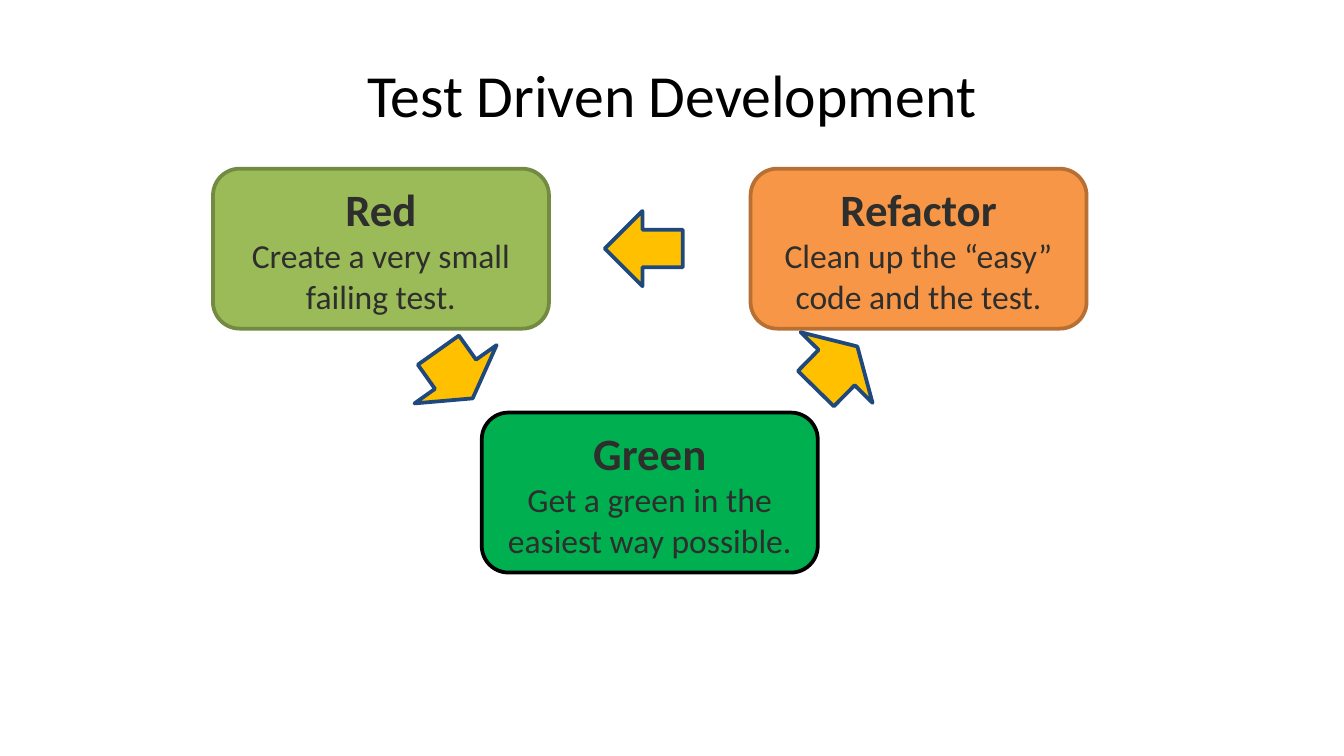
from pptx import Presentation
from pptx.dml.color import RGBColor
from pptx.enum.shapes import MSO_SHAPE as Shape
from pptx.enum.text import MSO_ANCHOR as Anchor, PP_ALIGN as Align
from pptx.util import Pt

PX = 4572  # EMU per px, 200 px to the inch
SLIDE_SIZE = (2000, 1125)
FONT = "Calibri"
COLORS = {
    "title": "000000", "text": "2E2E2D",
    "green": "00B050", "green line": "000000",
    "orange": "F79646", "orange line": "B76F34",
    "olive": "9BBB59", "olive line": "738A42",
    "arrow": "FFC000", "arrow line": "1F497D",
}

TITLE = "Test Driven Development"
TITLE_BOX = (100, 46, 1800, 188)

# heading, description, colour, column, row
STEPS = [
    ("Green", "Get a green in the easiest way possible.", "green", 1, 1),
    ("Refactor", "Clean up the “easy” code and the test.", "orange", 2, 0),
    ("Red", "Create a very small failing test.", "olive", 0, 0),
]
STEP_SIZE = (500, 238)
STEP_ORIGIN = (317, 251)
STEP_PITCH = (400, 363)

# box before rotation, rotation in degrees
ARROWS = [
    ((603, 513, 150, 88), 324.6),
    ((1170, 503, 150, 88), 224.5),
    ((902, 312, 112, 116), 90),
]


def rgb(name):
    return RGBColor.from_string(COLORS[name])


def emu(lengths):
    return [length * PX for length in lengths]


def write(paragraph, text, size, color, bold=False):
    paragraph.text = text
    paragraph.alignment = Align.CENTER
    font = paragraph.font
    font.name, font.size, font.bold = FONT, Pt(size), bold
    font.color.rgb = rgb(color)


def add_outlined(slide, kind, box, color):
    shape = slide.shapes.add_shape(kind, *emu(box))
    shape.shadow.inherit = False
    shape.fill.solid()
    shape.fill.fore_color.rgb = rgb(color)
    shape.line.color.rgb = rgb(f"{color} line")
    shape.line.width = Pt(2)
    return shape


def add_step(slide, heading, description, color, column, row):
    left, top = (origin + index * pitch for origin, index, pitch
                 in zip(STEP_ORIGIN, (column, row), STEP_PITCH))
    shape = add_outlined(slide, Shape.ROUNDED_RECTANGLE, (left, top, *STEP_SIZE), color)
    frame = shape.text_frame
    frame.word_wrap = True
    frame.vertical_anchor = Anchor.MIDDLE
    write(frame.paragraphs[0], heading, 24, "text", bold=True)
    write(frame.add_paragraph(), description, 18, "text")


def main():
    presentation = Presentation()
    presentation.slide_width, presentation.slide_height = emu(SLIDE_SIZE)
    slide = presentation.slides.add_slide(presentation.slide_layouts[5])

    title = slide.shapes.title
    title.left, title.top, title.width, title.height = emu(TITLE_BOX)
    title.text_frame.vertical_anchor = Anchor.MIDDLE
    write(title.text_frame.paragraphs[0], TITLE, 32, "title")

    for step in STEPS:
        add_step(slide, *step)
    for box, rotation in ARROWS:
        add_outlined(slide, Shape.DOWN_ARROW, box, "arrow").rotation = rotation

    presentation.save("out.pptx")


if __name__ == "__main__":
    main()
